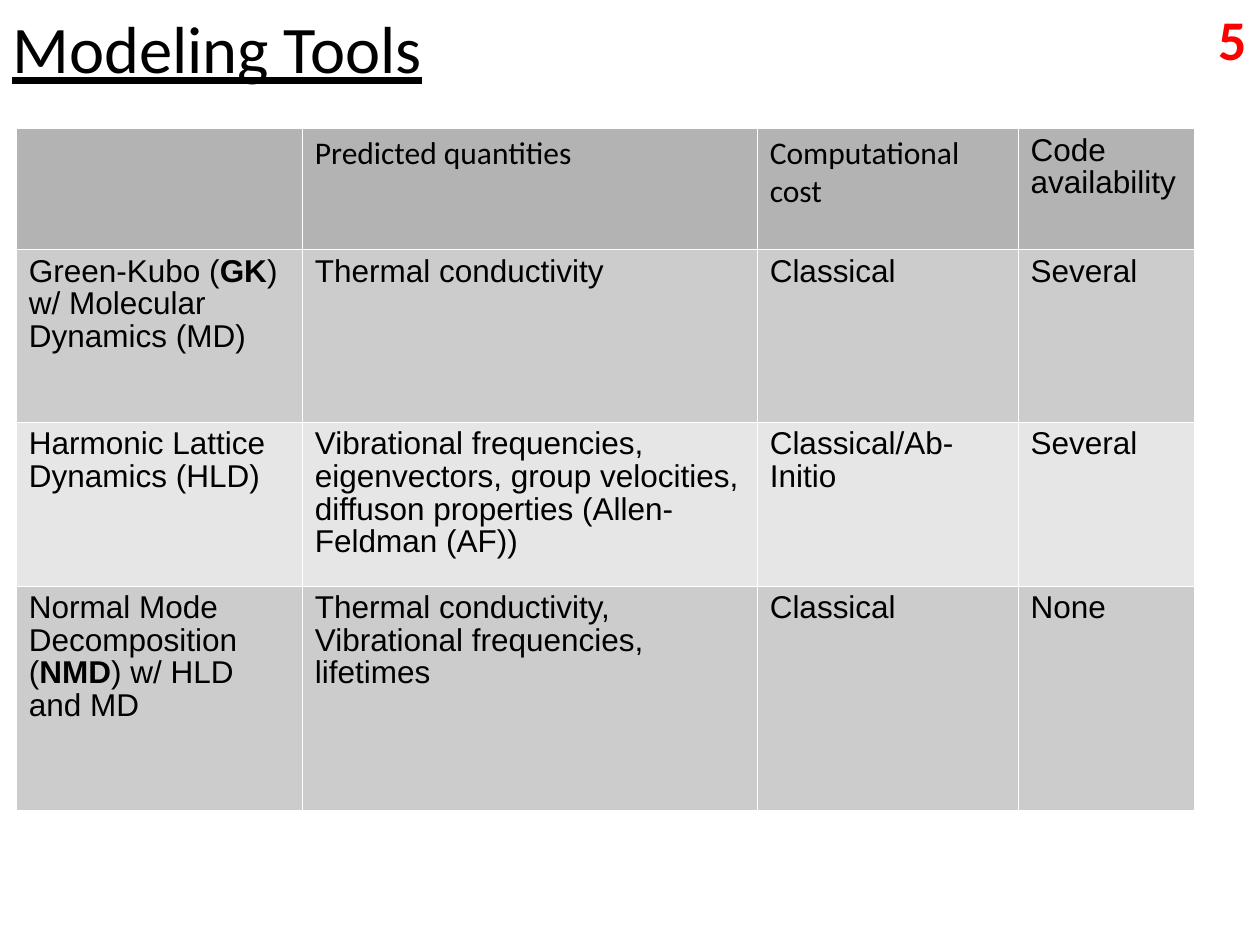
from lxml import etree
from pptx import Presentation
from pptx.dml.color import RGBColor
from pptx.enum.text import MSO_ANCHOR as Anchor, MSO_AUTO_SIZE as AutoSize
from pptx.oxml.ns import qn
from pptx.util import Inches, Pt

COLS = [2.27, 3.61, 2.07, 1.4]
ROWS = [0.96, 1.37, 1.3, 1.78]
ROW_FILLS = ["B3B3B3", "CCCCCC", "E6E6E6", "CCCCCC"]
BORDER_WIDTH = Pt(0.06)

# Each cell is a list of runs: (text, bold)
CELLS = [
    [[], [("Predicted quantities", False)], [("Computational cost", False)],
     [("Code availability", False)]],
    [[("Green-Kubo (", False), ("GK", True), (") w/ Molecular Dynamics (MD)", False)],
     [("Thermal conductivity", False)], [("Classical", False)], [("Several", False)]],
    [[("Harmonic Lattice Dynamics (HLD)", False)],
     [("Vibrational frequencies, eigenvectors, group velocities, "
       "diffuson properties (Allen-Feldman (AF))", False)],
     [("Classical/Ab-Initio", False)], [("Several", False)]],
    [[("Normal Mode Decomposition (", False), ("NMD", True), (") w/ HLD and MD", False)],
     [("Thermal conductivity, Vibrational frequencies, lifetimes", False)],
     [("Classical", False)], [("None", False)]],
]


def rgb(color):
    return RGBColor.from_string(color)


def add_run(p, text, size, font="Arial", color="000000", bold=False, underline=False):
    r = p.add_run()
    r.text = text
    f = r.font
    f.size, f.name, f.bold, f.underline = Pt(size), font, bold, underline
    f.color.rgb = rgb(color)


def add_text_box(slide, left, top, width, height, wrap=True):
    sp = slide.shapes.add_textbox(Inches(left), Inches(top), Inches(width), Inches(height))
    sp.text_frame.word_wrap = wrap
    return sp.text_frame


def add_title(slide, left, top, width, height):
    tf = add_text_box(slide, left, top, width, height)
    tf.vertical_anchor = Anchor.MIDDLE
    add_run(tf.paragraphs[0], "Modeling Tools", 38, "Calibri", underline=True)


def add_page_number(slide, left, top, width, height):
    tf = add_text_box(slide, left, top, width, height, wrap=False)
    tf.auto_size = AutoSize.SHAPE_TO_FIT_TEXT
    add_run(tf.paragraphs[0], "5", 32, "Calibri", "FF0000", bold=True)


def set_borders(cell, color):
    # Border lines must come before the cell fill
    tc_pr = cell._tc.get_or_add_tcPr()
    for i, side in enumerate(("lnL", "lnR", "lnT", "lnB")):
        ln = etree.Element(qn(f"a:{side}"), w=str(int(BORDER_WIDTH)))
        fill = etree.SubElement(ln, qn("a:solidFill"))
        etree.SubElement(fill, qn("a:srgbClr"), val=color)
        tc_pr.insert(i, ln)


def add_tools_table(slide, left, top):
    table = slide.shapes.add_table(
        len(ROWS), len(COLS), Inches(left), Inches(top),
        Inches(sum(COLS)), Inches(sum(ROWS))).table
    for column, width in zip(table.columns, COLS):
        column.width = Inches(width)
    for row, height in zip(table.rows, ROWS):
        row.height = Inches(height)
    table.first_row = table.horz_banding = False

    for i, row in enumerate(CELLS):
        for j, runs in enumerate(row):
            cell = table.cell(i, j)
            cell.fill.solid()
            cell.fill.fore_color.rgb = rgb(ROW_FILLS[i])
            set_borders(cell, "FFFFFF")
            # The first headings are Calibri, everything else is Arial
            calibri = i == 0 and j < 3
            p = cell.text_frame.paragraphs[0]
            p.line_spacing = 0.98 if calibri else 0.93
            for text, bold in runs:
                add_run(p, text, 18, "Calibri" if calibri else "Arial", bold=bold)


def main():
    prs = Presentation()
    prs.slide_width, prs.slide_height = Inches(10), Inches(7.5)
    slide = prs.slides.add_slide(prs.slide_layouts[6])
    add_title(slide, 0, -0.25, 9.2, 1.25)
    add_tools_table(slide, 0.13, 1.02)
    add_page_number(slide, 9.57, -0.01, 0.42, 0.63)
    prs.save("out.pptx")


if __name__ == "__main__":
    main()
